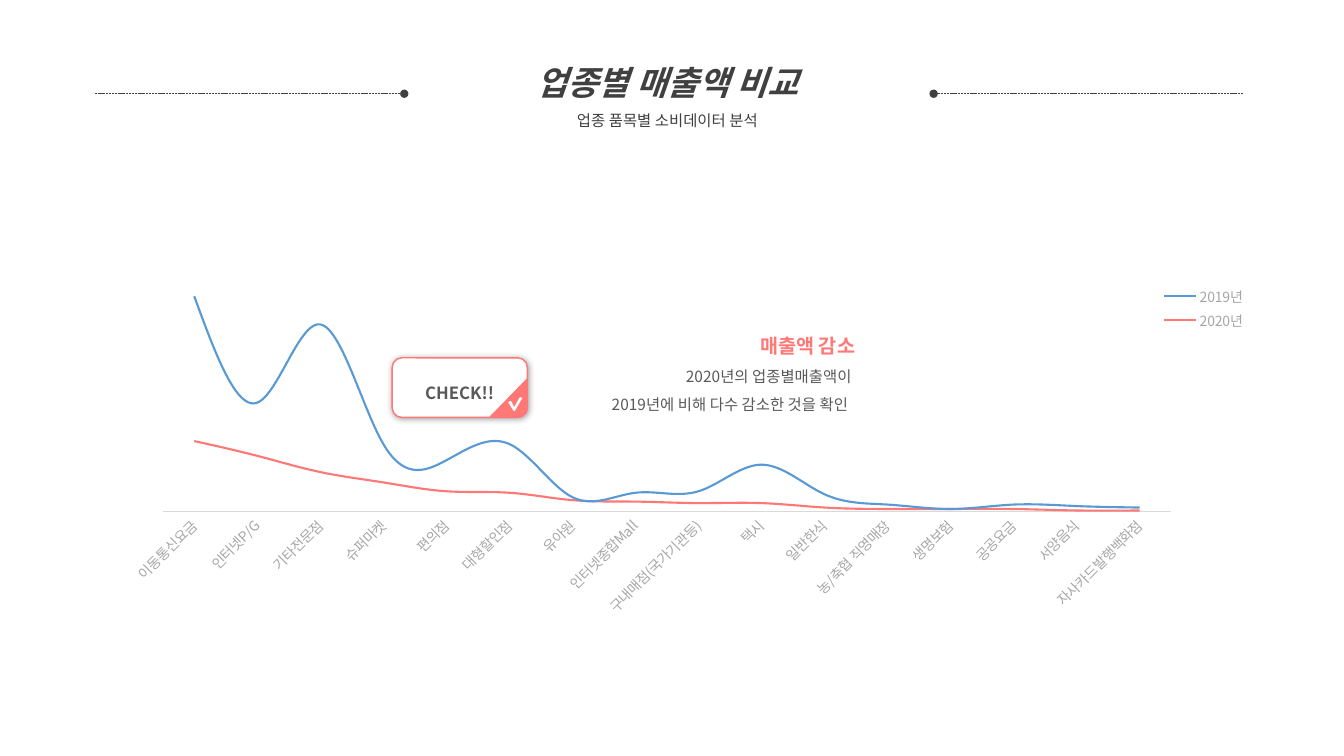
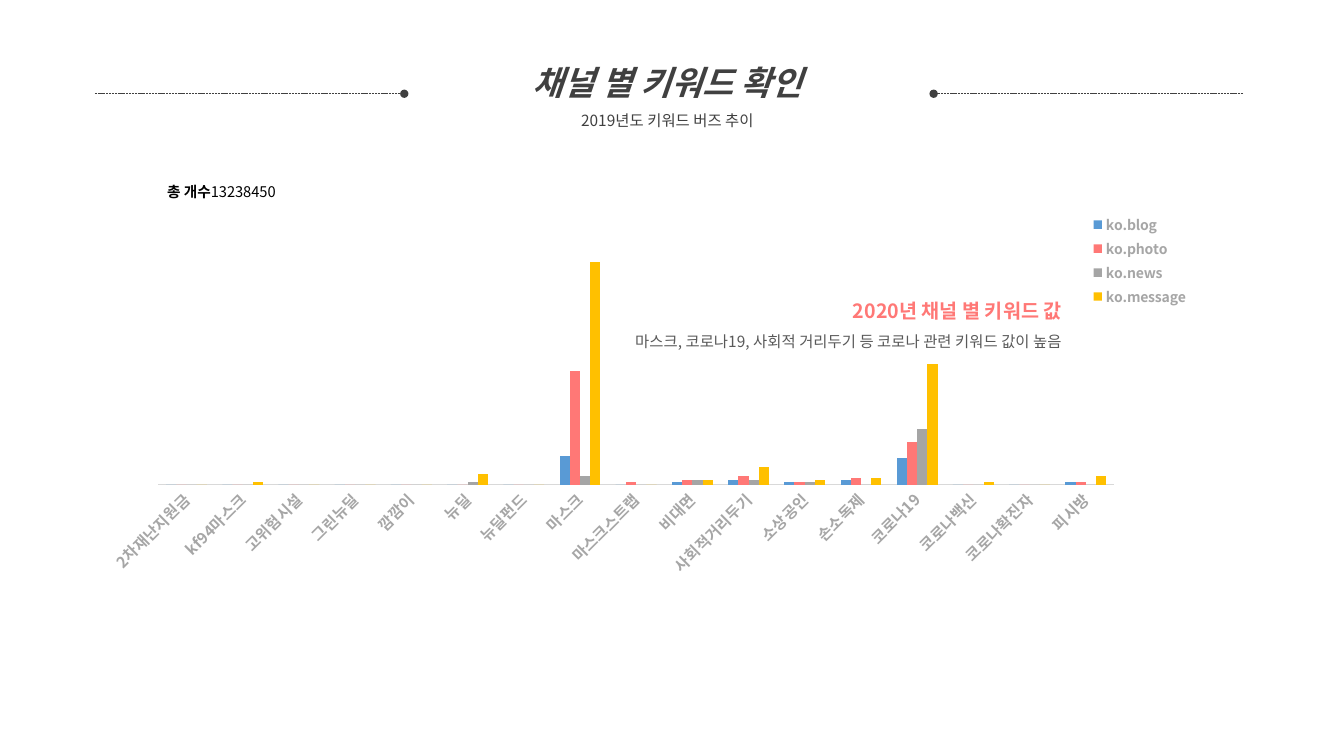
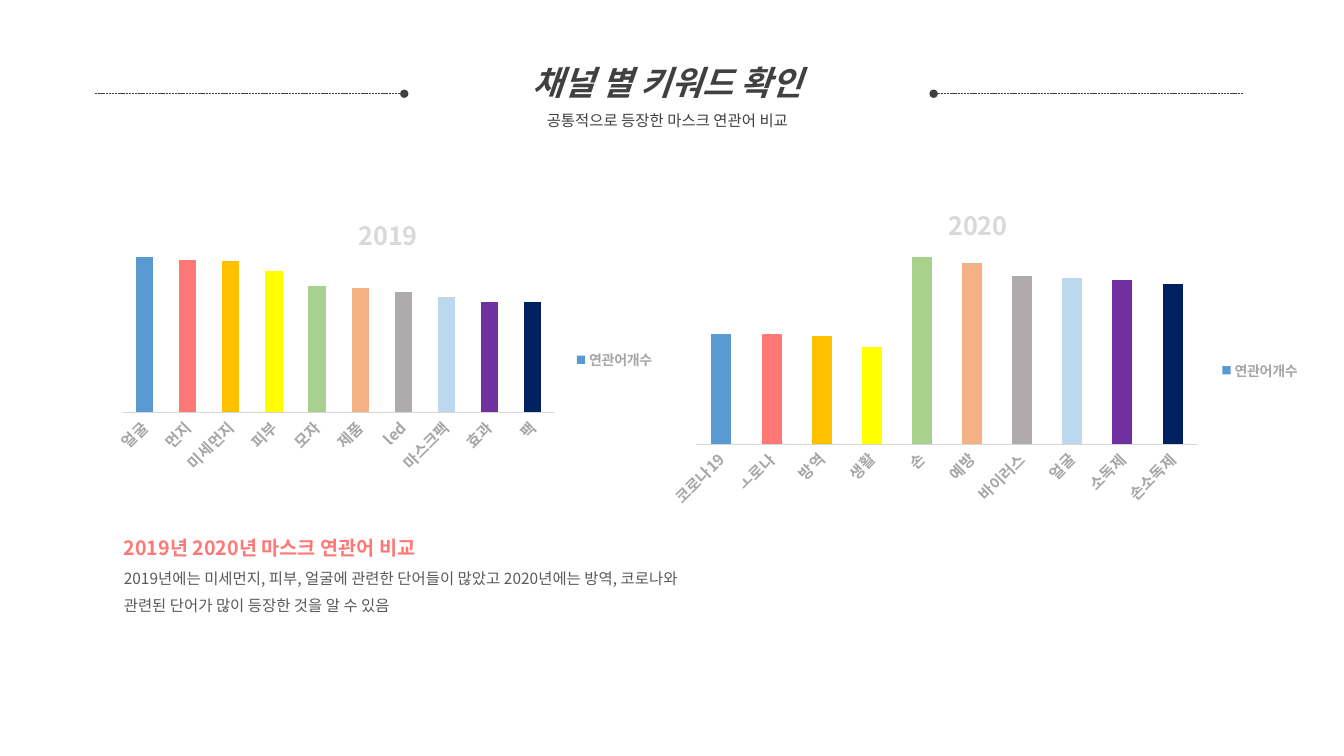
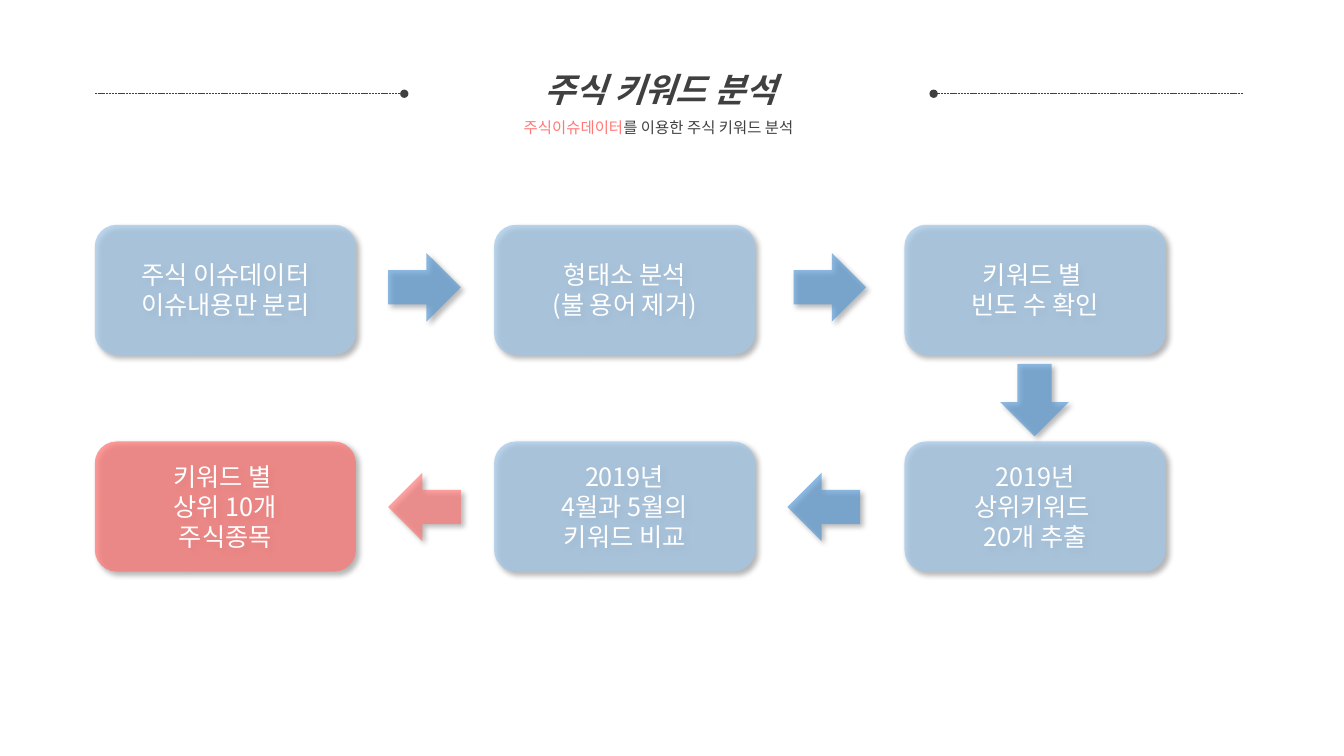
import math

from lxml import etree
from pptx import Presentation
from pptx.chart.data import CategoryChartData
from pptx.dml.color import RGBColor
from pptx.enum.chart import XL_CHART_TYPE, XL_LEGEND_POSITION, XL_MARKER_STYLE, XL_TICK_MARK
from pptx.enum.dml import MSO_LINE
from pptx.enum.shapes import MSO_CONNECTOR, MSO_SHAPE
from pptx.enum.text import MSO_ANCHOR, MSO_AUTO_SIZE, PP_ALIGN
from pptx.oxml.ns import qn
from pptx.util import Inches, Pt

FONT = "Noto Sans CJK KR"
DARK, BODY, GREY, PALE = "404040", "595959", "A6A6A6", "D9D9D9"
WHITE, BLACK, CORAL, BLUE, SKY = "FFFFFF", "000000", "FF7876", "599AD5", "A3C7E7"
CHANNEL_COLOURS = [BLUE, CORAL, "A5A5A5", "FFC000"]
WORD_COLOURS = [BLUE, CORAL, "FFC000", "FFFF00", "A9D18E",
                "F4B183", "AFABAB", "BDD7EE", "7030A0", "002060"]

LEFT, CENTER, RIGHT = PP_ALIGN.LEFT, PP_ALIGN.CENTER, PP_ALIGN.RIGHT
TOP, MIDDLE = MSO_ANCHOR.TOP, MSO_ANCHOR.MIDDLE
FIT = MSO_AUTO_SIZE.SHAPE_TO_FIT_TEXT
ROUND_RECT = MSO_SHAPE.ROUNDED_RECTANGLE
RIGHT_ARROW, LEFT_ARROW = MSO_SHAPE.RIGHT_ARROW, MSO_SHAPE.LEFT_ARROW
DOWN_ARROW = MSO_SHAPE.DOWN_ARROW
LINES, COLUMNS = XL_CHART_TYPE.LINE_STACKED, XL_CHART_TYPE.COLUMN_CLUSTERED


def rgb(colour):
    """Return the colour for a hex string."""
    return RGBColor.from_string(colour)


def inches(*values):
    """Return the given numbers as lengths."""
    return [Inches(v) for v in values]


def style(font, size=11, colour=BODY, bold=False, italic=False):
    """Format a font, for Latin and Korean letters alike."""
    font.size, font.bold, font.italic = Pt(size), bold, italic
    font.color.rgb = rgb(colour)
    font.name = FONT
    ea = etree.Element(qn("a:ea"), typeface=FONT)
    font._rPr.find(qn("a:latin")).addnext(ea)


def write(p, text, **fmt):
    """Add a run of text to a paragraph."""
    r = p.add_run()
    r.text = text
    style(r.font, **fmt)


def paragraph(tf, align=LEFT, spacing=1.5):
    """Return the first paragraph while it is empty, or else a new one."""
    p = tf.paragraphs[0]
    if p.runs:
        p = tf.add_paragraph()
    p.alignment, p.line_spacing = align, spacing
    return p


def text_box(s, box, wrap=True):
    """Add an empty text box and return its text frame."""
    tf = s.shapes.add_textbox(*inches(*box)).text_frame
    tf.word_wrap, tf.auto_size = wrap, FIT
    return tf


def message(s, box, heading, lines, align=RIGHT):
    """Add a coral heading with body lines below it."""
    tf = text_box(s, box)
    write(paragraph(tf, align), heading, size=14, colour=CORAL, bold=True)
    for line in lines:
        write(paragraph(tf, align), line)


def paint(sp, fill, line=None, opacity=100):
    """Set fill, outline and opacity of a shape, without shadow."""
    sp.fill.solid()
    sp.fill.fore_color.rgb = rgb(fill)
    if opacity < 100:
        clr = sp._element.spPr.find(qn("a:solidFill"))[0]
        etree.SubElement(clr, qn("a:alpha"), val=str(opacity * 1000))
    if line:
        sp.line.color.rgb = rgb(line)
        sp.line.width = Pt(1)
    else:
        sp.line.fill.background()
    sp.shadow.inherit = False


def cast_shadow(sp, blur, dist):
    """Give a painted shape a soft shadow to the lower right."""
    effects = sp._element.spPr.find(qn("a:effectLst"))
    shadow = etree.SubElement(effects, qn("a:outerShdw"), blurRad=str(Pt(blur)),
                              dist=str(Pt(dist)), dir="2700000",
                              algn="tl", rotWithShape="0")
    clr = etree.SubElement(shadow, qn("a:srgbClr"), val=BLACK)
    etree.SubElement(clr, qn("a:alpha"), val="40000")


def header_line(s, x1, x2):
    """Add a dotted header line that ends in a dot."""
    y = 0.93
    line = s.shapes.add_connector(MSO_CONNECTOR.STRAIGHT, *inches(x1, y, x2, y))
    line.line.color.rgb = rgb(DARK)
    line.line.width = Pt(0.5)
    line.line.dash_style = MSO_LINE.SQUARE_DOT
    spPr = line._element.spPr
    etree.SubElement(spPr.find(qn("a:ln")), qn("a:tailEnd"), type="oval")
    etree.SubElement(spPr, qn("a:effectLst"))


def new_slide(prs, title, subtitle, left=4.04, top=0.36):
    """Add a slide with its header; subtitle is a list of (text, colour)."""
    s = prs.slides.add_slide(prs.slide_layouts[5])
    header_line(s, 0.94, 4.01)
    header_line(s, 12.33, 9.26)
    sp = s.shapes.title
    sp.left, sp.top, sp.width, sp.height = inches(left, top, 5.16, 0.98)
    tf = sp.text_frame
    tf.word_wrap, tf.auto_size, tf.vertical_anchor = True, FIT, TOP
    write(paragraph(tf, CENTER), title, size=24, colour=DARK, bold=True, italic=True)
    p = paragraph(tf, CENTER)
    for text, colour in subtitle:
        write(p, text, colour=colour)
    return s


def place(part, after, **position):
    """Set the manual layout of a chart part, as fractions of the chart."""
    for old in part.findall(qn("c:layout")):
        part.remove(old)
    layout = etree.Element(qn("c:layout"))
    manual = etree.SubElement(layout, qn("c:manualLayout"))
    if "w" in position:
        etree.SubElement(manual, qn("c:layoutTarget"), val="inner")
    for mode in ("xMode", "yMode"):
        etree.SubElement(manual, qn("c:" + mode), val="edge")
    for key, value in position.items():
        etree.SubElement(manual, qn("c:" + key), val=str(value))
    if after:
        part.find(qn(after)).addnext(layout)
    else:
        part.insert(0, layout)


def add_chart(s, kind, box, cats, series, colours, top_value, plot, legend,
              label_size=11, bold=True):
    """Add a chart with a hidden value axis and slanted labels."""
    data = CategoryChartData()
    data.categories = cats
    for name, values in series:
        data.add_series(name, values)
    chart = s.shapes.add_chart(kind, *inches(*box), data).chart
    style(chart.font, size=10, colour=PALE)
    chart.has_title = False

    axis = chart.value_axis
    axis.minimum_scale, axis.maximum_scale = 0, top_value
    axis.has_major_gridlines = False
    axis.visible = False

    axis = chart.category_axis
    axis.major_tick_mark = XL_TICK_MARK.NONE
    axis.format.line.color.rgb = rgb(PALE)
    axis.format.line.width = Pt(0.75)
    style(axis.tick_labels.font, size=label_size, colour=GREY, bold=bold)
    axis._element.find(qn("c:txPr")).find(qn("a:bodyPr")).set("rot", "-2700000")

    chart.has_legend = True
    chart.legend.position = XL_LEGEND_POSITION.RIGHT
    chart.legend.include_in_layout = False
    style(chart.legend.font, size=10, colour=GREY, bold=bold)
    place(chart.legend._element, "c:legendPos", x=legend[0], y=legend[1])
    place(chart._chartSpace.chart.plotArea, None, **dict(zip("xywh", plot)))

    for ser, colour in zip(chart.plots[0].series, colours):
        if kind == LINES:
            ser.smooth = True
            ser.marker.style = XL_MARKER_STYLE.NONE
            ser.format.line.color.rgb = rgb(colour)
            ser.format.line.width = Pt(1.5)
        else:
            ser.format.fill.solid()
            ser.format.fill.fore_color.rgb = rgb(colour)
    if kind == COLUMNS:
        chart.plots[0].gap_width = 150
        chart.plots[0].vary_by_categories = False
    return chart


def word_chart(s, box, year, title_at, words, values, **layout):
    """Add a titled column chart with one colour for each word."""
    chart = add_chart(s, COLUMNS, box, words, [("연관어개수", values)],
                      WORD_COLOURS, **layout)
    points = chart.plots[0].series[0].points
    for i, colour in enumerate(WORD_COLOURS[1:], 1):
        points[i].format.fill.solid()
        points[i].format.fill.fore_color.rgb = rgb(colour)
    chart.has_title = True
    title = chart.chart_title
    write(title.text_frame.paragraphs[0], year, size=18, colour=PALE, bold=True)
    title.include_in_layout = False
    place(title._element, "c:tx", x=title_at[0], y=title_at[1])


def outline(shapes, points, fill, line=None):
    """Add a closed freeform through points given in inches."""
    points = [inches(*point) for point in points]
    builder = shapes.build_freeform(*points[0])
    builder.add_line_segments(points[1:], close=True)
    paint(builder.convert_to_shape(), fill, line)


def check_badge(s):
    """Add the card with a ticked corner."""
    shapes = s.shapes.add_group_shape().shapes
    card = shapes.add_shape(ROUND_RECT, *inches(3.89, 3.55, 1.34, 0.59))
    card.adjustments[0] = 0.16
    paint(card, WHITE, CORAL)
    cast_shadow(card, 5, 1)
    card.text_frame.vertical_anchor = MIDDLE
    write(paragraph(card.text_frame, CENTER), "CHECK!!", size=12, bold=True)

    right, bottom, radius = 5.23, 4.14, 0.1
    angles = [math.radians(a) for a in range(0, 91, 15)]
    corner = [(right - radius + radius * math.cos(a),
               bottom - radius + radius * math.sin(a)) for a in angles]
    outline(shapes, [(4.86, bottom), (right, 3.76)] + corner, CORAL, CORAL)
    tick = [(5.04, 3.99), (5.06, 3.98), (5.07, 3.98), (5.1, 4.04), (5.15, 3.95),
            (5.16, 3.94), (5.18, 3.95), (5.11, 4.07), (5.1, 4.08), (5.09, 4.07)]
    outline(shapes, tick, WHITE)


def flow_shape(s, kind, box, colour, opacity, lines=()):
    """Add a translucent step or arrow of the flow."""
    sp = s.shapes.add_shape(kind, *inches(*box))
    paint(sp, colour, opacity=opacity)
    cast_shadow(sp, 4, 3)
    sp.text_frame.vertical_anchor = MIDDLE
    for line in lines:
        write(paragraph(sp.text_frame, CENTER, 1.0), line, size=18, colour=WHITE)


def sales_slide(prs):
    """Compare sales by type of business."""
    s = new_slide(prs, "업종별 매출액 비교", [("업종 품목별 소비데이터 분석", DARK)])
    cats = ["이동통신요금", "인터넷P/G", "기타전문점", "슈퍼마켓", "편의점", "대형할인점",
            "유아원", "인터넷종합Mall", "구내매점(국가기관등)", "택시", "일반한식",
            "농/축협 직영매장", "생명보험", "공공요금", "서양음식", "자사카드발행백화점"]
    series = [
        ("2020년", [48, 38, 27, 20, 14, 13, 8, 7, 6, 6, 3, 2, 2, 2, 1, 1]),
        ("2019년", [98, 36, 100, 26, 21, 33, 2, 6, 8, 26, 9, 3, 0, 3, 3, 2]),
    ]
    add_chart(s, LINES, (0.8, 2.61, 11.63, 3.86), cats, series, [CORAL, BLUE],
              top_value=158, plot=(0.07, 0.04, 0.86, 0.6), legend=(0.92, 0.05),
              label_size=10, bold=False)
    message(s, (5, 3.15, 3.58, 1.01), "매출액 감소",
            ["2020년의 업종별매출액이 ", "2019년에 비해 다수 감소한 것을 확인  "])
    check_badge(s)


def channel_slide(prs):
    """Show keyword counts by channel."""
    s = new_slide(prs, "채널 별 키워드 확인", [("2019년도 키워드 버즈 추이", DARK)])
    cats = ["2차재난지원금", "kf94마스크", "고위험시설", "그린뉴딜", "깜깜이", "뉴딜",
            "뉴딜펀드", "마스크", "마스크스트랩", "비대면", "사회적거리두기", "소상공인",
            "손소독제", "코로나19", "코로나백신", "코로나확진자", "피시방"]
    series = [
        ("ko.blog", [0, 0, 0, 0, 0, 0, 0, 13, 0, 1, 2, 1, 2, 12, 0, 0, 1]),
        ("ko.photo", [0, 0, 0, 0, 0, 0, 0, 51, 1, 2, 4, 1, 3, 19, 0, 0, 1]),
        ("ko.news", [0, 0, 0, 0, 0, 1, 0, 4, 0, 2, 2, 1, 0, 25, 0, 0, 0]),
        ("ko.message", [0, 1, 0, 0, 0, 5, 0, 100, 0, 2, 8, 2, 3, 54, 1, 0, 4]),
    ]
    add_chart(s, COLUMNS, (0.8, 1.86, 11.02, 4.61), cats, series, CHANNEL_COLOURS,
              top_value=125, plot=(0.07, 0.04, 0.86, 0.6), legend=(0.92, 0.05))
    message(s, (5.62, 2.8, 5.01, 0.73), "2020년 채널 별 키워드 값",
            ["마스크, 코로나19, 사회적 거리두기 등 코로나 관련 키워드 값이 높음"])
    p = paragraph(text_box(s, (1.56, 1.76, 1.44, 0.28), wrap=False), spacing=1.0)
    write(p, "총 개수", size=10.5, colour=BLACK, bold=True)
    write(p, "13238450", size=10.5, colour=BLACK)


def related_words_slide(prs):
    """Compare words related to masks in two years."""
    s = new_slide(prs, "채널 별 키워드 확인",
                  [("공통적으로 등장한 마스크 연관어 비교", DARK)])
    message(s, (1.13, 5.15, 6.12, 1.01), "2019년 2020년 마스크 연관어 비교",
            ["2019년에는 미세먼지, 피부, 얼굴에 관련한 단어들이 많았고 2020년에는 방역, "
             "코로나와 관련된 단어가 많이 등장한 것을 알 수 있음"], LEFT)
    word_chart(s, (0.8, 1.86, 6.02, 3.49), "2019", (0.45, 0.06),
               ["얼굴", "먼지", "미세먼지", "피부", "모자",
                "제품", "led", "마스크팩", "효과", "팩"],
               [100, 98, 97, 91, 81, 80, 77, 74, 71, 71],
               top_value=115, plot=(0.07, 0.13, 0.71, 0.51), legend=(0.81, 0.45))
    word_chart(s, (6.31, 1.86, 6.63, 3.49), "2020", (0.46, 0.03),
               ["코로나19", "ㅗ로나", "방역", "생활", "손",
                "예방", "바이러스", "얼굴", "소독제", "손소독제"],
               [59, 59, 58, 52, 100, 97, 90, 89, 88, 86],
               top_value=113, plot=(0.09, 0.13, 0.75, 0.6), legend=(0.87, 0.48))


def stock_slide(prs):
    """Show the steps of the stock keyword analysis."""
    s = new_slide(prs, "주식 키워드 분석",
                  [("주식이슈데이터", CORAL), ("를 이용한 주식 키워드 분석 ", DARK)],
                  left=3.97, top=0.43)
    columns, rows = (0.94, 4.9, 8.97), (2.23, 4.38)
    steps = [
        (0, 0, SKY, ["주식 이슈데이터", "이슈내용만 분리"]),
        (1, 0, SKY, ["형태소 분석", "(불 용어 제거)"]),
        (2, 0, SKY, ["키워드 별 ", "빈도 수 확인"]),
        (2, 1, SKY, ["2019년", "상위키워드 ", "20개 추출"]),
        (1, 1, SKY, ["2019년", "4월과 5월의", "키워드 비교"]),
        (0, 1, CORAL, ["키워드 별 ", "상위 10개", "주식종목"]),
    ]
    for column, row, colour, lines in steps:
        box = (columns[column], rows[row], 2.59, 1.29)
        flow_shape(s, ROUND_RECT, box, colour, 73, lines)
    arrows = [
        (RIGHT_ARROW, (3.85, 2.51, 0.72, 0.68), BLUE),
        (RIGHT_ARROW, (7.87, 2.51, 0.72, 0.68), BLUE),
        (DOWN_ARROW, (9.92, 3.61, 0.68, 0.72), BLUE),
        (LEFT_ARROW, (7.81, 4.69, 0.72, 0.68), BLUE),
        (LEFT_ARROW, (3.85, 4.69, 0.72, 0.68), CORAL),
    ]
    for kind, box, colour in arrows:
        flow_shape(s, kind, box, colour, 68)


def main():
    """Build and save the presentation."""
    prs = Presentation()
    prs.slide_width, prs.slide_height = inches(13.33, 7.5)
    sales_slide(prs)
    channel_slide(prs)
    related_words_slide(prs)
    stock_slide(prs)
    prs.save("out.pptx")


if __name__ == "__main__":
    main()
